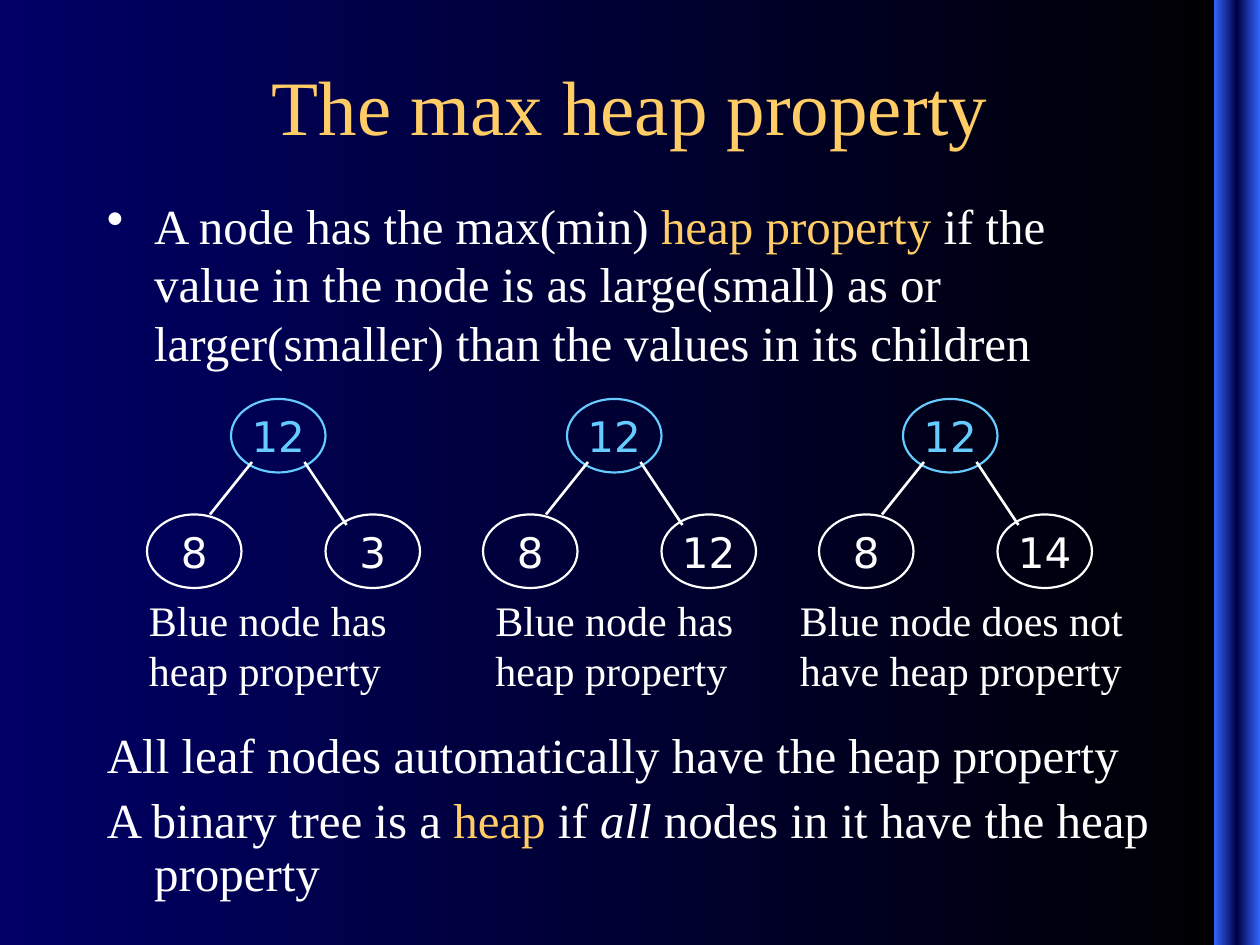
import copy
from dataclasses import dataclass

import lxml.etree
import pptx
import pptx.dml.color
import pptx.enum.shapes
import pptx.enum.text
import pptx.oxml.ns
import pptx.util


@dataclass(frozen=True)
class Theme:
    """Colours, fonts, type sizes and line widths of the slide."""
    white: str = "FFFFFF"
    gold: str = "FFCC66"
    sky: str = "66CCFF"
    backdrop: tuple = ("000000", "000066")
    stripe: tuple = ("3366FF", "000044", "3366FF")
    serif: str = "Times New Roman"
    sans: str = "DejaVu Sans"
    title_size: int = 44
    body_size: int = 28
    node_size: int = 24
    outline: float = 1.25
    edge: float = 1.5
    indent: int = 27
    gap: int = 7


THEME = Theme()
COLUMN = ROW = pptx.util.Inches(10) // 120
SHAPES = pptx.enum.shapes.MSO_SHAPE
ALIGN = pptx.enum.text.PP_ALIGN
ANCHOR = pptx.enum.text.MSO_ANCHOR


def grid(*cells):
    """Turn grid columns and rows into lengths."""
    return [round(cell * COLUMN) for cell in cells]


def rgb(colour):
    """Return a colour object for a hex string."""
    return pptx.dml.color.RGBColor.from_string(colour)


def paint_gradient(fill, element, colours):
    """Fill with evenly spaced colours running from right to left."""
    fill.gradient()
    fill.gradient_angle = 180
    stops = next(element.iter(pptx.oxml.ns.qn("a:gsLst")))
    while len(stops) < len(colours):
        stops.append(copy.deepcopy(stops[-1]))
    for index, (stop, colour) in enumerate(zip(fill.gradient_stops, colours)):
        stop.color.rgb = rgb(colour)
        stop.position = index / (len(colours) - 1)


def style(para, font, size, colour, align=ALIGN.LEFT):
    """Set the alignment and font of a paragraph."""
    para.alignment = align
    para.font.name = font
    para.font.size = pptx.util.Pt(size)
    para.font.color.rgb = rgb(colour)


def hang(para, bullet):
    """Give a paragraph a hanging indent, with or without a bullet."""
    properties = para._p.get_or_add_pPr()
    indent = pptx.util.Pt(THEME.indent)
    properties.set("marL", str(indent))
    properties.set("indent", str(-indent))
    tag = "a:buChar" if bullet else "a:buNone"
    mark = lxml.etree.SubElement(properties, pptx.oxml.ns.qn(tag))
    if bullet:
        mark.set("char", bullet)


def add_title(page, box, text):
    """Place the slide title in the box."""
    title = page.shapes.title
    title.left, title.top, title.width, title.height = grid(*box)
    title.text_frame.text = text
    title.text_frame.vertical_anchor = ANCHOR.MIDDLE
    style(title.text_frame.paragraphs[0], THEME.serif, THEME.title_size,
          THEME.gold, ALIGN.CENTER)


def add_stripe(page, box):
    """Draw the shaded stripe along the slide's edge."""
    stripe = page.shapes.add_shape(SHAPES.RECTANGLE, *grid(*box))
    stripe.shadow.inherit = False
    stripe.line.fill.background()
    paint_gradient(stripe.fill, stripe._element, THEME.stripe)


def add_statements(page, box, statements, bullet=None, spacing=None):
    """Write hanging paragraphs made of (text, colour, italic) spans."""
    frame = page.shapes.add_textbox(*grid(*box)).text_frame
    frame.word_wrap = True
    for index, spans in enumerate(statements):
        para = frame.add_paragraph() if index else frame.paragraphs[0]
        hang(para, bullet)
        para.line_spacing = spacing
        if index:
            para.space_before = pptx.util.Pt(THEME.gap)
        style(para, THEME.serif, THEME.body_size, THEME.white)
        for text, colour, italic in spans:
            span = para.add_run()
            span.text = text
            if colour != THEME.white:
                span.font.color.rgb = rgb(colour)
            if italic:
                span.font.italic = True


def add_node(group, left, top, value, colour):
    """Draw one tree node with its value."""
    node = group.shapes.add_shape(SHAPES.OVAL, *grid(left, top, 9, 7))
    node.shadow.inherit = False
    node.fill.background()
    node.line.color.rgb = rgb(colour)
    node.line.width = pptx.util.Pt(THEME.outline)
    frame = node.text_frame
    frame.text = value
    frame.word_wrap = False
    frame.vertical_anchor = ANCHOR.MIDDLE
    style(frame.paragraphs[0], THEME.sans, THEME.node_size, colour,
          ALIGN.CENTER)


def add_edge(group, *ends):
    """Draw a line from a parent to a child."""
    edge = group.shapes.add_connector(
        pptx.enum.shapes.MSO_CONNECTOR.STRAIGHT, *grid(*ends))
    edge.line.color.rgb = rgb(THEME.white)
    edge.line.width = pptx.util.Pt(THEME.edge)
    lxml.etree.SubElement(edge._element.spPr, pptx.oxml.ns.qn("a:effectLst"))


def add_tree(page, left, top, values, caption, caption_box):
    """Draw a parent with two children and a caption beneath."""
    group = page.shapes.add_group_shape()
    root, first, second = values
    add_node(group, left + 8, top, root, THEME.sky)
    add_node(group, left, top + 11, first, THEME.white)
    add_node(group, left + 17, top + 11, second, THEME.white)
    add_edge(group, left + 10, top + 6, left + 6, top + 11)
    add_edge(group, left + 15, top + 6, left + 19, top + 12)
    shift, width = caption_box
    box = group.shapes.add_textbox(*grid(left + shift, top + 18, width, 10.8))
    frame = box.text_frame
    frame.word_wrap = True
    frame.auto_size = pptx.enum.text.MSO_AUTO_SIZE.SHAPE_TO_FIT_TEXT
    frame.text = caption
    style(frame.paragraphs[0], THEME.serif, THEME.node_size, THEME.white)


def main():
    """Build the slide and save the deck."""
    deck = pptx.Presentation()
    deck.slide_width, deck.slide_height = 120 * COLUMN, 90 * ROW
    page = deck.slides.add_slide(deck.slide_layouts.get_by_name("Title Only"))
    paint_gradient(page.background.fill, page._element, THEME.backdrop)
    add_stripe(page, (115.6, 0, 4.4, 90))
    add_title(page, (4, 5, 112, 10), "The max heap property")
    white, gold = THEME.white, THEME.gold
    add_statements(page, (9, 18, 102, 19), [[
        ("A node has the max(min) ", white, False),
        ("heap property", gold, False),
        (" if the value in the node is as large(small) as or "
         "larger(smaller) than the values in its children", white, False),
    ]], bullet="•")
    add_statements(page, (9, 69, 105, 22.5), [
        [("All leaf nodes automatically have the heap property",
          white, False)],
        [("A binary tree is a ", white, False), ("heap", gold, False),
         (" if ", white, False), ("all", white, True),
         (" nodes in it have the heap property", white, False)],
    ], spacing=0.9)
    holds = "Blue node has heap property"
    fails = "Blue node does not have heap property"
    trees = [(("12", "8", "3"), holds, (-1, 26)),
             (("12", "8", "12"), holds, (0, 26)),
             (("12", "8", "14"), fails, (-3, 34))]
    for index, tree in enumerate(trees):
        add_tree(page, 14 + 32 * index, 38, *tree)
    deck.save("out.pptx")


if __name__ == "__main__":
    main()
